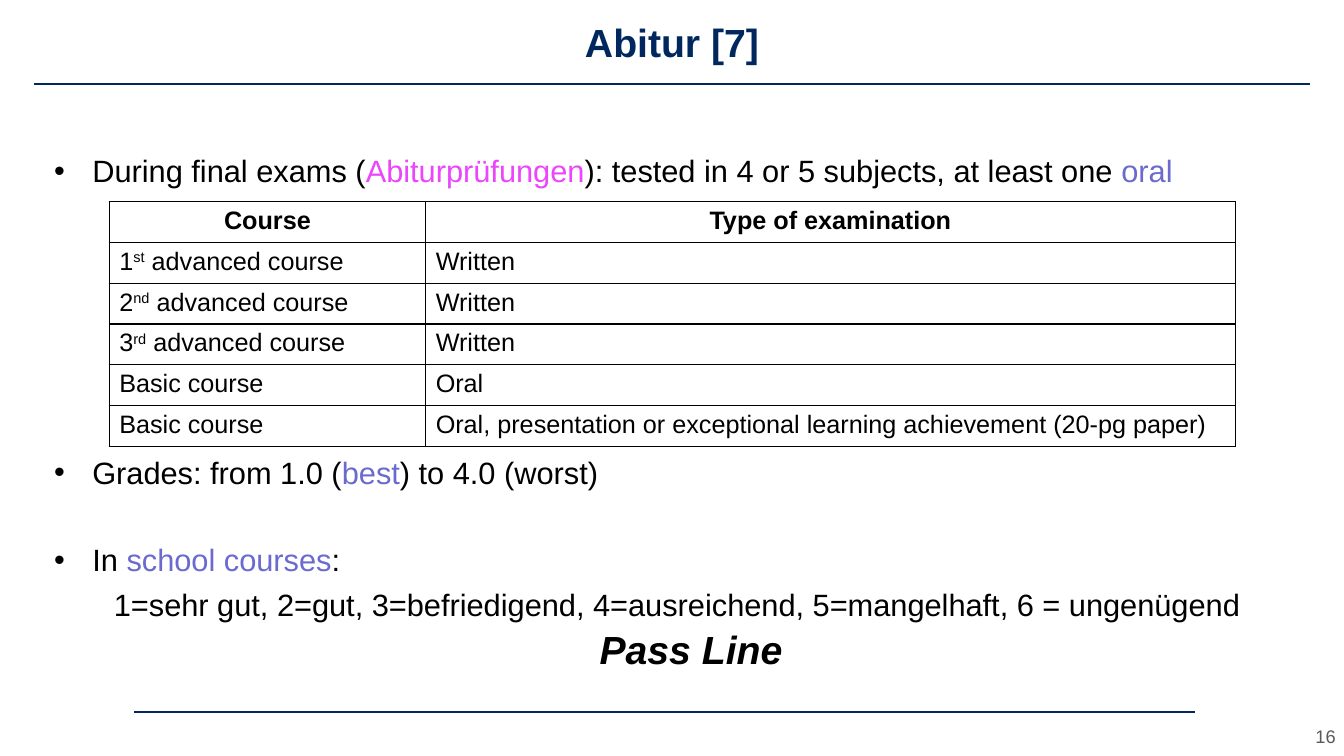
"""Build the Abitur slide with its examination table and grading notes."""
from dataclasses import dataclass

from lxml.etree import SubElement
from pptx import Presentation
from pptx.dml.color import RGBColor
from pptx.enum.shapes import MSO_CONNECTOR as Connector
from pptx.enum.text import MSO_ANCHOR as Anchor, PP_ALIGN as Align
from pptx.oxml.ns import qn
from pptx.util import Emu, Inches, Pt

COLOURS = {"navy": "00285E", "black": "000000", "pink": "EB46FC",
           "violet": "6B6BCF", "grey": "595959"}
FONT = "Arial"
SLIDE_WIDTH, SLIDE_HEIGHT = Inches(13.33), Inches(7.5)
GRID_COLUMNS, GRID_ROWS = 160, 90
INDENT = Inches(0.38)
LINE_GAP, BLOCK_GAP = 5.4, 36.1


@dataclass(frozen=True)
class Span:
    text: str
    colour: str = "black"
    bold: bool = False
    italic: bool = False
    raised: bool = False


@dataclass(frozen=True)
class Line:
    spans: tuple
    size: float = 22
    align: Align = Align.LEFT
    bullet: bool = False
    gap: float = 0


@dataclass(frozen=True)
class Area:
    column: float
    row: float
    columns: float
    rows: float

    def lengths(self):
        return (across(self.column), down(self.row),
                across(self.columns), down(self.rows))


@dataclass(frozen=True)
class Block:
    area: Area
    lines: tuple
    anchor: Anchor = Anchor.TOP
    wrap: bool = True
    inset: bool = True


@dataclass(frozen=True)
class Rule:
    start: float
    end: float
    row: float
    weight: float


RULES = (Rule(16, 142.3, 84.8, 1.5), Rule(4, 156, 10, 1.75))
TITLE = Block(Area(0, 0, 160, 10), (Line((Span("Abitur [7]", "navy", True),), 28, Align.CENTER),), Anchor.MIDDLE)
BLOCKS = (
    Block(Area(5.25, 17.5, 150.75, 5.5), (
        Line((Span("During final exams ("), Span("Abiturprüfungen", "pink"),
              Span("): tested in 4 or 5 subjects, at least one "), Span("oral", "violet")), bullet=True),)),
    Block(Area(5.25, 53.4, 150.75, 20.4), (
        Line((Span("Grades: from 1.0 ("), Span("best", "violet"), Span(") to 4.0 (worst)")), bullet=True),
        Line((Span("In "), Span("school courses", "violet"), Span(":")), bullet=True, gap=BLOCK_GAP),
        Line((Span("1=sehr gut, 2=gut, 3=befriedigend, 4=ausreichend, 5=mangelhaft, 6 = ungenügend"),),
             align=Align.CENTER, gap=LINE_GAP))),
    Block(Area(151, 83, 8, 6), (Line((Span("16", "grey"),), 13, Align.RIGHT),), Anchor.BOTTOM, inset=False),
    Block(Area(70, 73.8, 24.5, 6.84),
          (Line((Span("Pass Line", bold=True, italic=True),), 28, Align.CENTER),), wrap=False),
)
TABLE_AREA = Area(13, 24, 134, 29.16)
TABLE_COLUMNS = (37.68, 96.36)
HEADINGS = ("Course", "Type of examination")
ADVANCED = tuple(
    ((Span(number), Span(ending, raised=True), Span(" advanced course")), (Span("Written"),))
    for number, ending in (("1", "st"), ("2", "nd"), ("3", "rd")))
BASIC = tuple(
    ((Span("Basic course"),), (Span(kind),))
    for kind in ("Oral", "Oral, presentation or exceptional learning achievement (20-pg paper)"))


def across(columns: float) -> Emu:
    return Emu(round(SLIDE_WIDTH * columns / GRID_COLUMNS))


def down(rows: float) -> Emu:
    return Emu(round(SLIDE_HEIGHT * rows / GRID_ROWS))


def colour(name: str) -> RGBColor:
    return RGBColor.from_string(COLOURS[name])


def write_line(para, line: Line) -> None:
    properties = para._p.get_or_add_pPr()
    if line.bullet:
        properties.set("marL", str(INDENT))
        properties.set("indent", str(-INDENT))
        SubElement(properties, qn("a:buFont")).set("typeface", FONT)
        SubElement(properties, qn("a:buChar")).set("char", "•")
    para.alignment = line.align
    para.space_before = Pt(line.gap)
    for span in line.spans:
        run = para.add_run()
        run.text = span.text
        run.font.name, run.font.size = FONT, Pt(line.size)
        run.font.bold, run.font.italic = span.bold, span.italic
        run.font.color.rgb = colour(span.colour)
        if span.raised:
            run._r.get_or_add_rPr().set("baseline", "30000")


def fill_block(box, block: Block) -> None:
    box.left, box.top, box.width, box.height = block.area.lengths()
    frame = box.text_frame
    frame.word_wrap = block.wrap
    frame.vertical_anchor = block.anchor
    if not block.inset:
        frame.margin_left = frame.margin_right = frame.margin_top = frame.margin_bottom = 0
    for index, line in enumerate(block.lines):
        write_line(frame.add_paragraph() if index else frame.paragraphs[0], line)


def draw_rule(page, rule: Rule) -> None:
    connector = page.shapes.add_connector(
        Connector.STRAIGHT, across(rule.start), down(rule.row), across(rule.end), down(rule.row))
    connector.line.color.rgb = colour("navy")
    connector.line.width = Pt(rule.weight)
    SubElement(connector._element.spPr, qn("a:effectLst"))


def outline_cell(cell) -> None:
    properties = cell._tc.get_or_add_tcPr()
    for side in ("a:lnL", "a:lnR", "a:lnT", "a:lnB"):
        border = SubElement(properties, qn(side), w=str(Pt(1)))
        fill = SubElement(border, qn("a:solidFill"))
        SubElement(fill, qn("a:srgbClr"), val=COLOURS["black"])
    cell.fill.background()


def draw_table(page) -> None:
    header = tuple((Span(heading, bold=True),) for heading in HEADINGS)
    content = (header, *ADVANCED, *BASIC)
    table = page.shapes.add_table(len(content), len(HEADINGS), *TABLE_AREA.lengths()).table
    table.first_row = table.horz_banding = False
    for column, width in zip(table.columns, TABLE_COLUMNS):
        column.width = across(width)
    for row_index, row in enumerate(content):
        table.rows[row_index].height = down(TABLE_AREA.rows / len(content))
        for column_index, spans in enumerate(row):
            cell = table.cell(row_index, column_index)
            outline_cell(cell)
            align = Align.LEFT if row_index else Align.CENTER
            write_line(cell.text_frame.paragraphs[0], Line(spans, 18, align))


def main() -> None:
    deck = Presentation()
    deck.slide_width, deck.slide_height = SLIDE_WIDTH, SLIDE_HEIGHT
    page = deck.slides.add_slide(deck.slide_layouts[5])
    for rule in RULES:
        draw_rule(page, rule)
    fill_block(page.shapes.title, TITLE)
    for block in BLOCKS:
        fill_block(page.shapes.add_textbox(*block.area.lengths()), block)
    draw_table(page)
    deck.save("out.pptx")


if __name__ == "__main__":
    main()
